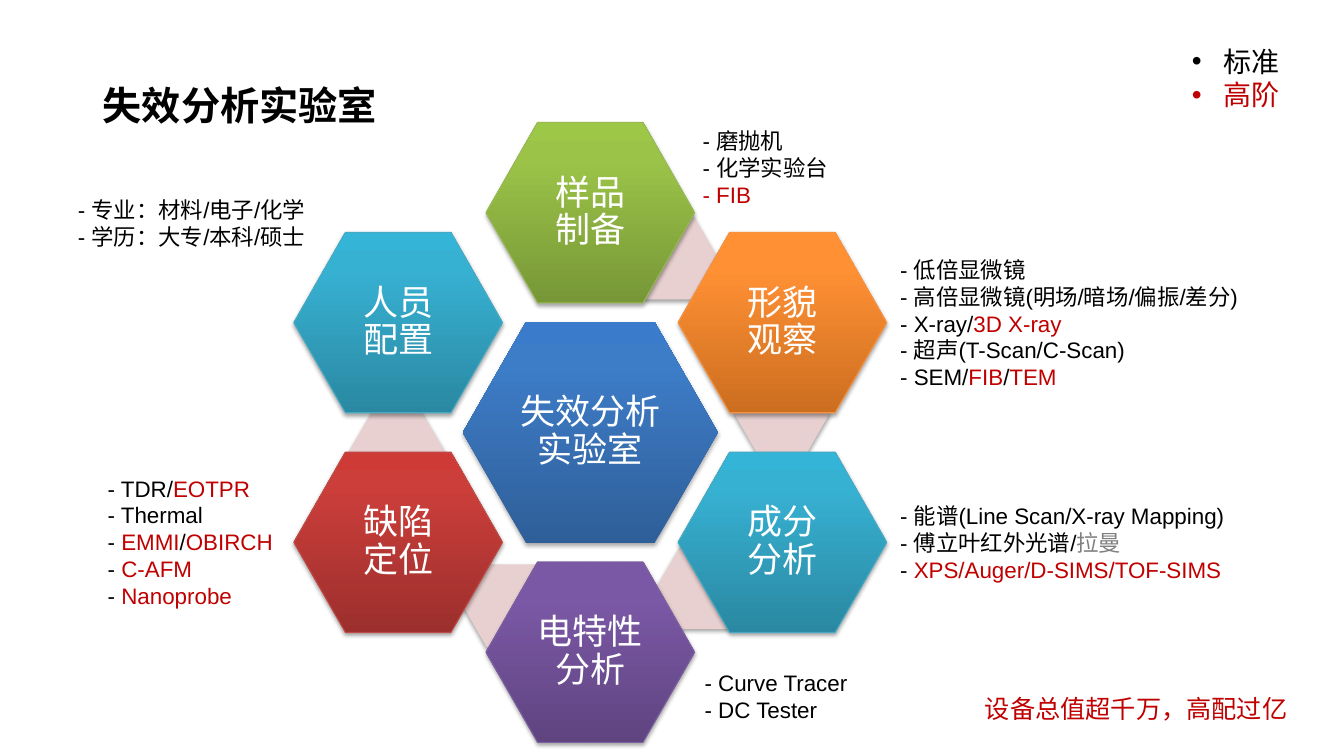
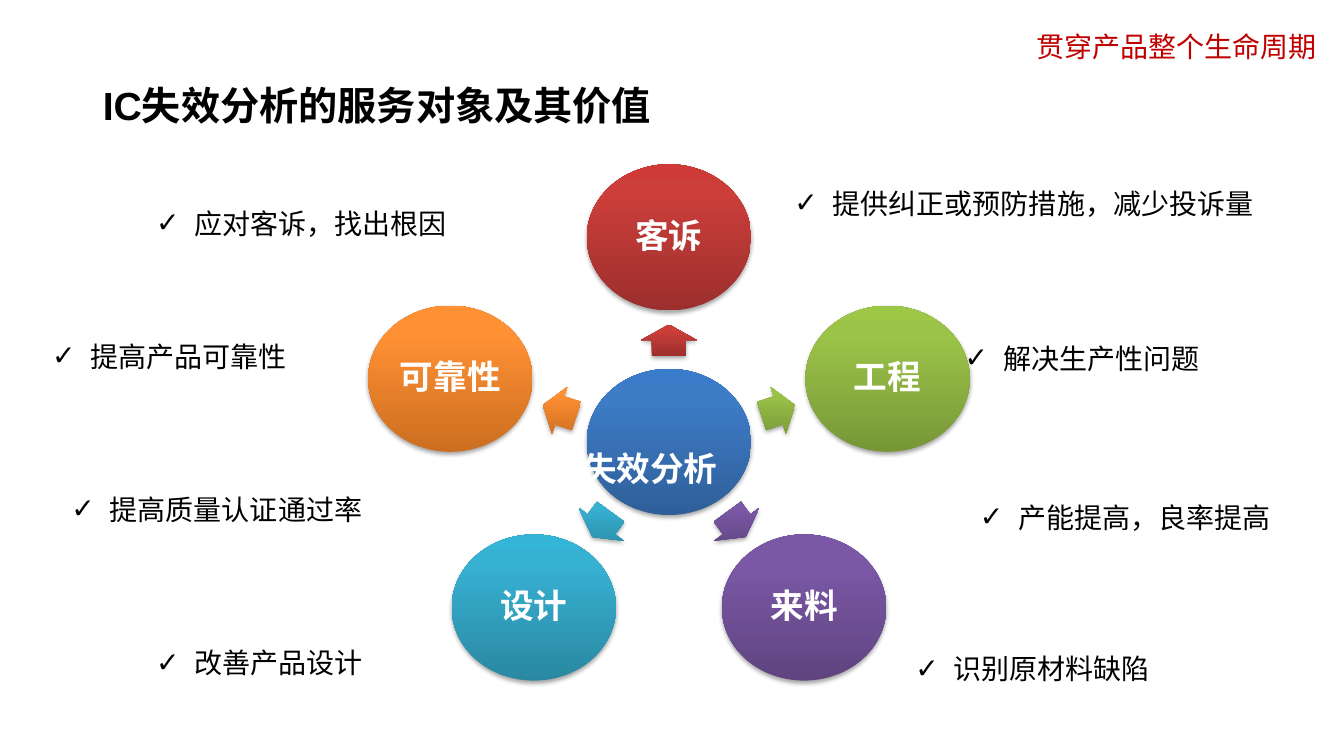
from copy import deepcopy
from dataclasses import dataclass
from math import cos, radians, sin
from typing import NamedTuple, Optional, Union

from lxml.etree import SubElement
from pptx import Presentation
from pptx.dml.color import RGBColor
from pptx.enum.shapes import MSO_SHAPE
from pptx.enum.text import MSO_ANCHOR, MSO_AUTO_SIZE, PP_ALIGN
from pptx.oxml.ns import qn
from pptx.util import Inches, Pt

BLACK = RGBColor(0x00, 0x00, 0x00)
WHITE = RGBColor(0xFF, 0xFF, 0xFF)
RED = RGBColor(0xC0, 0x00, 0x00)
GRAY = RGBColor(0x80, 0x80, 0x80)
PALE_PINK = RGBColor(0xE8, 0xD0, 0xD0)
LATIN = "Arial"
CJK = "Noto Sans CJK JP"


class Palette(NamedTuple):
    """Gradient from bottom to top, and the outline."""
    dark: RGBColor
    middle: RGBColor
    light: RGBColor
    line: Optional[RGBColor] = None


BLUE_TONES = Palette(RGBColor(0x2F, 0x5F, 0x99), RGBColor(0x3D, 0x7C, 0xC7), RGBColor(0x3A, 0x7C, 0xCB))
GREEN_TONES = Palette(RGBColor(0x77, 0x97, 0x37), RGBColor(0x9B, 0xC3, 0x48),
                      RGBColor(0x9D, 0xC7, 0x46), RGBColor(0x98, 0xB9, 0x55))
ORANGE_TONES = Palette(RGBColor(0xCC, 0x6E, 0x20), RGBColor(0xFF, 0x90, 0x34),
                       RGBColor(0xFF, 0x91, 0x36), RGBColor(0xF6, 0x92, 0x40))
TEAL_TONES = Palette(RGBColor(0x2A, 0x88, 0xA2), RGBColor(0x37, 0xB1, 0xD2),
                     RGBColor(0x34, 0xB4, 0xD6), RGBColor(0x46, 0xAA, 0xC5))
PURPLE_TONES = Palette(RGBColor(0x5F, 0x44, 0x80), RGBColor(0x7B, 0x58, 0xA6),
                       RGBColor(0x7C, 0x57, 0xA8), RGBColor(0x7D, 0x60, 0xA0))
RED_TONES = Palette(RGBColor(0x9C, 0x2F, 0x2D), RGBColor(0xCB, 0x3E, 0x3A),
                    RGBColor(0xCE, 0x3B, 0x37), RGBColor(0xBF, 0x4C, 0x48))


class Box(NamedTuple):
    left: float
    top: float
    width: float
    height: float


class Span(NamedTuple):
    text: str
    color: RGBColor = RED


Line = tuple[Union[str, Span], ...]


@dataclass
class Note:
    box: Box
    lines: list[Line]
    size: int = 16
    font: str = LATIN
    color: RGBColor = BLACK
    bold: bool = False
    align: PP_ALIGN = PP_ALIGN.LEFT
    bullet: str = ""
    indent: float = 0
    spacing: float = 1


@dataclass
class Node:
    text: str
    palette: Palette
    link: Optional[tuple[float, float]] = None


# Slide 1 content
LAB_CENTER = (5.855, 4.29)
LAB_NODES = [
    Node("样品\v制备", GREEN_TONES, (6.17, 2.15)),
    Node("形貌\v观察", ORANGE_TONES, (7.28, 3.69)),
    Node("成分\v分析", TEAL_TONES, (6.51, 5.42)),
    Node("电特性分析", PURPLE_TONES, (4.59, 5.6)),
    Node("缺陷\v定位", RED_TONES, (3.46, 4.07)),
    Node("人员\v配置", TEAL_TONES),
]
LEGEND = Note(Box(11.72, 0.39, 1.08, 0.77), [("标准",), (Span("高阶"),)],
              size=20, font=CJK, bullet="•", indent=0.31)
LAB_NOTES = [
    Note(Box(6.87, 1.21, 1.91, 0.91), [("- 磨抛机",), ("- 化学实验台",), (Span("- FIB"),)]),
    Note(Box(8.83, 2.49, 3.72, 1.45), [
        ("- 低倍显微镜",),
        ("- 高倍显微镜(明场/暗场/偏振/差分)",),
        ("- X-ray/", Span("3D X-ray")),
        ("- 超声(T-Scan/C-Scan)",),
        ("- SEM/", Span("FIB"), "/", Span("TEM")),
    ]),
    Note(Box(8.83, 4.93, 3.46, 0.91), [
        ("- 能谱(Line Scan/X-ray Mapping)",),
        ("- 傅立叶红外光谱/", Span("拉曼", GRAY)),
        ("- ", Span("XPS/Auger/D-SIMS/TOF-SIMS")),
    ]),
    Note(Box(6.89, 6.59, 1.64, 0.64), [("- Curve Tracer",), ("- DC Tester",)]),
    Note(Box(0.97, 4.66, 1.86, 1.45), [
        ("- TDR/", Span("EOTPR")),
        ("- Thermal",),
        ("- ", Span("EMMI"), "/", Span("OBIRCH")),
        ("- ", Span("C-AFM")),
        ("- ", Span("Nanoprobe")),
    ]),
    Note(Box(0.5, 1.9, 2.8, 0.64), [("- 专业：材料/电子/化学",), ("- 学历：大专/本科/硕士",)],
         align=PP_ALIGN.CENTER),
    Note(Box(9.67, 6.83, 3.23, 0.4), [("设备总值超千万，高配过亿",)], size=18, color=RED),
]

# Slide 2 content
SERVICE_CENTER = (6.635, 4.385)
SERVICE_NODES = [
    Node("客诉", RED_TONES),
    Node("工程", GREEN_TONES),
    Node("来料", PURPLE_TONES),
    Node("设计", TEAL_TONES),
    Node("可靠性", ORANGE_TONES),
]
CORE_LABEL = Note(Box(5.62, 4.39, 1.66, 0.47), [("失效分析",)], size=24, font=CJK,
                  color=WHITE, bold=True, align=PP_ALIGN.CENTER)
SLOGAN = Note(Box(10.18, 0.24, 3.01, 0.44), [("贯穿产品整个生命周期",)], size=20, font=CJK, color=RED)
VALUES = [
    ("识别原材料缺陷", 8.98, 6.25, 2.56),
    ("解决生产性问题", 9.47, 3.17, 2.54),
    ("提供纠正或预防措施，减少投诉量", 7.78, 1.63, 4.79),
    ("改善产品设计", 1.45, 6.19, 2.26),
    ("提高产品可靠性", 0.42, 3.15, 2.54),
    ("应对客诉，找出根因", 1.45, 1.83, 3.11),
    ("产能提高，良率提高", 9.62, 4.75, 3.11),
    ("提高质量认证通过率", 0.61, 4.67, 3.11),
]


def place(shape, box: Box) -> None:
    shape.left, shape.top, shape.width, shape.height = (Inches(value) for value in box)


def centered(x: float, y: float, width: float, height: float) -> Box:
    return Box(x - width / 2, y - height / 2, width, height)


def on_ring(center: tuple[float, float], radii: tuple[float, float], angle: float) -> tuple[float, float]:
    """Point on an ellipse, clockwise from the top."""
    turn = radians(angle)
    return center[0] + radii[0] * sin(turn), center[1] - radii[1] * cos(turn)


def add_bullet(paragraph, character: str, indent: float) -> None:
    properties = paragraph._p.get_or_add_pPr()
    properties.set("marL", str(Inches(indent)))
    properties.set("indent", str(-Inches(indent)))
    SubElement(properties, qn("a:buFont"), typeface=LATIN)
    SubElement(properties, qn("a:buChar"), char=character)


def write_note(shape, note: Note) -> None:
    place(shape, note.box)
    frame = shape.text_frame
    frame.word_wrap = True
    frame.auto_size = MSO_AUTO_SIZE.NONE
    frame.vertical_anchor = MSO_ANCHOR.TOP
    for index, line in enumerate(note.lines):
        paragraph = frame.paragraphs[0] if index == 0 else frame.add_paragraph()
        paragraph.alignment = note.align
        paragraph.line_spacing = note.spacing
        paragraph.space_before = Pt(0)
        if note.bullet:
            add_bullet(paragraph, note.bullet, note.indent)
        font = paragraph.font
        font.name, font.size, font.bold = note.font, Pt(note.size), note.bold
        font.color.rgb = note.color
        for part in line:
            span = part if isinstance(part, Span) else Span(part, note.color)
            run = paragraph.add_run()
            run.text = span.text
            if span.color != note.color:
                run.font.color.rgb = span.color


def add_note(page, note: Note) -> None:
    write_note(page.shapes.add_textbox(0, 0, 0, 0), note)


def add_shadow(shape) -> None:
    shape.shadow.inherit = False
    effects = shape._element.spPr.find(qn("a:effectLst"))
    shadow = SubElement(effects, qn("a:outerShdw"), blurRad="40000", dist="23000",
                        dir="5400000", rotWithShape="0")
    color = SubElement(shadow, qn("a:srgbClr"), val="000000")
    SubElement(color, qn("a:alpha"), val="35000")


def fill_gradient(shape, palette: Palette) -> None:
    shape.fill.gradient()
    gradient = shape._element.spPr.find(qn("a:gradFill"))
    gradient.set("rotWithShape", "0")
    stops = gradient.find(qn("a:gsLst"))
    stops.append(deepcopy(stops[0]))
    for stop, color, position in zip(shape.fill.gradient_stops, palette[:3], (0, 0.8, 1)):
        stop.color.rgb = color
        stop.position = position
    shape.fill.gradient_angle = 90


def add_solid(page, kind: MSO_SHAPE, box: Box, tones: Union[Palette, RGBColor],
              outlined: bool = False, adjustment: Optional[float] = None):
    shape = page.shapes.add_shape(kind, *(Inches(value) for value in box))
    if adjustment is not None:
        shape.adjustments[0] = adjustment
    if isinstance(tones, Palette):
        fill_gradient(shape, tones)
    else:
        shape.fill.solid()
        shape.fill.fore_color.rgb = tones
    if outlined:
        shape.line.color.rgb = tones.line
        shape.line.width = Pt(0.75)
    else:
        shape.line.fill.background()
    add_shadow(shape)
    return shape


def label(shape, text: str, size: int, font_name: str, bold: bool = False) -> None:
    frame = shape.text_frame
    frame.word_wrap = True
    frame.vertical_anchor = MSO_ANCHOR.MIDDLE
    frame.margin_left = frame.margin_right = frame.margin_top = frame.margin_bottom = Inches(0.03)
    frame.text = text
    paragraph = frame.paragraphs[0]
    paragraph.alignment = PP_ALIGN.CENTER
    paragraph.line_spacing = 0.9
    font = paragraph.font
    font.name, font.size, font.bold = font_name, Pt(size), bold
    font.color.rgb = WHITE


def add_page(deck, layout: int, title: str, width: float):
    page = deck.slides.add_slide(deck.slide_layouts[layout])
    write_note(page.shapes.title, Note(Box(0.92, 0.76, width, 0.54), [(title,)], size=28, bold=True))
    return page


def build_lab(deck) -> None:
    page = add_page(deck, 1, "失效分析实验室", 4.95)
    # Hexagon ring with pale links behind it
    core = add_solid(page, MSO_SHAPE.HEXAGON, centered(*LAB_CENTER, 2.53, 2.19), BLUE_TONES, adjustment=0.286)
    label(core, "失效分析实验室", 25, CJK)
    for index, node in enumerate(LAB_NODES):
        if node.link:
            add_solid(page, MSO_SHAPE.HEXAGON, Box(*node.link, 0.95, 0.82), PALE_PINK, adjustment=0.289)
        x, y = on_ring(LAB_CENTER, (2.2, 2.18), index * 360 / len(LAB_NODES))
        hexagon = add_solid(page, MSO_SHAPE.HEXAGON, centered(x, y, 2.07, 1.79),
                            node.palette, outlined=True, adjustment=0.286)
        label(hexagon, node.text, 25, CJK)
    # Equipment lists and legend
    for note in LAB_NOTES:
        add_note(page, note)
    write_note(page.placeholders[1], LEGEND)


def build_services(deck) -> None:
    page = add_page(deck, 5, "IC失效分析的服务对象及其价值", 5.78)
    # Circle ring with arrows halfway
    add_solid(page, MSO_SHAPE.OVAL, centered(*SERVICE_CENTER, 1.63, 1.45), BLUE_TONES)
    for index, node in enumerate(SERVICE_NODES):
        angle = index * 360 / len(SERVICE_NODES)
        x, y = on_ring(SERVICE_CENTER, (1.14, 1.01), angle)
        length, breadth = (0.35, 0.49) if index in (1, 4) else (0.31, 0.56)
        arrow = add_solid(page, MSO_SHAPE.RIGHT_ARROW, centered(x, y, length, breadth),
                          node.palette, adjustment=0.6)
        arrow.rotation = (angle - 90) % 360
        x, y = on_ring(SERVICE_CENTER, (2.28, 2.03), angle)
        circle = add_solid(page, MSO_SHAPE.OVAL, centered(x, y, 1.63, 1.45), node.palette)
        label(circle, node.text, 24, LATIN, bold=True)
    add_note(page, CORE_LABEL)
    # Value statements and slogan
    for text, left, top, width in VALUES:
        add_note(page, Note(Box(left, top, width, 0.56), [(text,)], size=20, font=CJK,
                            bullet="✓", indent=0.38, spacing=1.5))
    add_note(page, SLOGAN)


def main() -> None:
    deck = Presentation()
    deck.slide_width, deck.slide_height = Inches(13.33), Inches(7.5)
    build_lab(deck)
    build_services(deck)
    deck.save("out.pptx")


if __name__ == "__main__":
    main()
